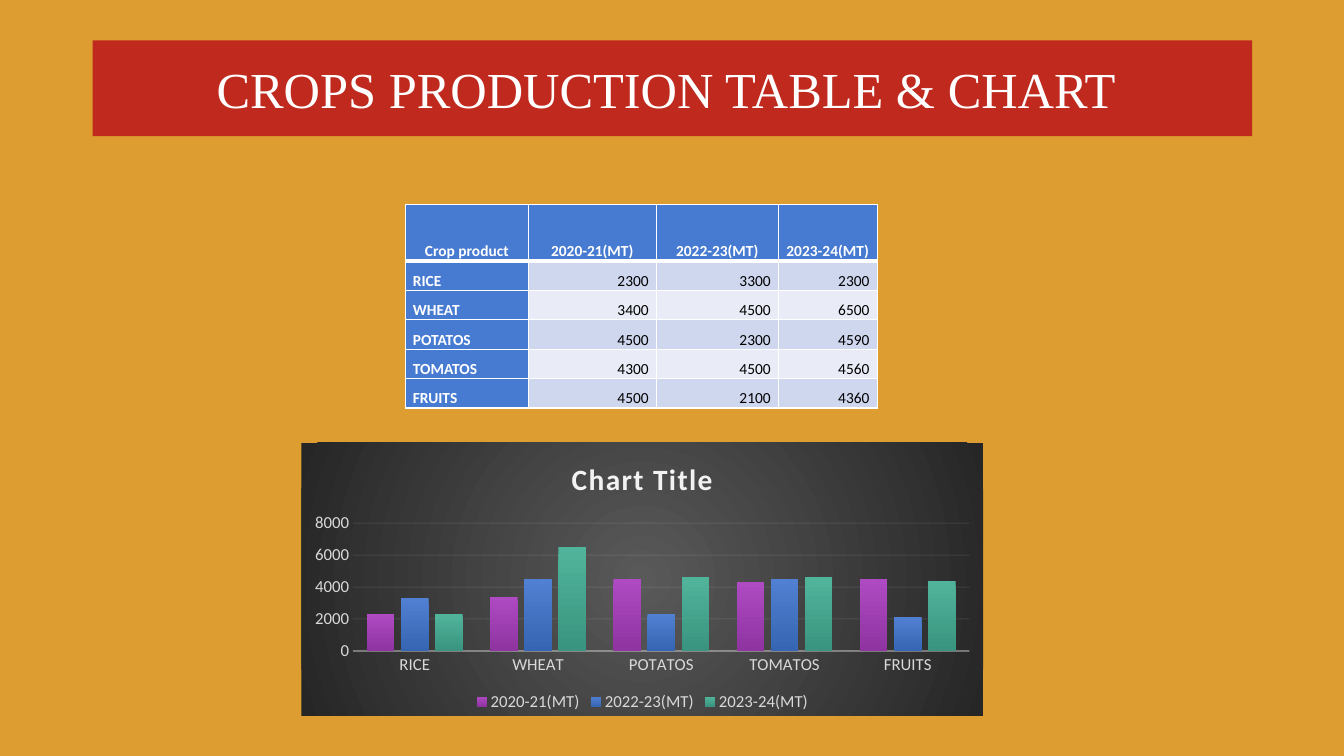
import lxml.etree
import pptx
import pptx.chart.data
import pptx.dml.color
import pptx.enum.chart
import pptx.enum.shapes
import pptx.enum.text
import pptx.oxml
import pptx.oxml.ns
import pptx.util

Inches = pptx.util.Inches
Pt = pptx.util.Pt
qn = pptx.oxml.ns.qn
Align = pptx.enum.text.PP_ALIGN
Anchor = pptx.enum.text.MSO_ANCHOR

COLORS = {
    "background": "DD9D31", "banner": "C02A1E", "white": "FFFFFF", "black": "000000",
    "header": "477BD1", "band_dark": "CFD7EE", "band_light": "E9ECF7",
    "chart_center": "595959", "chart_edge": "262626",
    "chart_text": "D9D9D9", "chart_line": "F2F2F2",
}
SERIES_GRADIENTS = [("AE4AC2", "8F34A1"), ("5180D2", "3665B3"), ("50B49B", "3A947F")]
YEARS = ["2020-21(MT)", "2022-23(MT)", "2023-24(MT)"]
PRODUCTION = {
    "RICE": (2300, 3300, 2300),
    "WHEAT": (3400, 4500, 6500),
    "POTATOS": (4500, 2300, 4590),
    "TOMATOS": (4300, 4500, 4560),
    "FRUITS": (4500, 2100, 4360),
}
COLUMN_WIDTHS = [1.22, 1.27, 1.21, 0.98]
TABLE_HEIGHT, HEADER_HEIGHT = 2.02, 0.56
ROW_HEIGHT = (TABLE_HEIGHT - HEADER_HEIGHT) / len(PRODUCTION)
DOWNWARD = '<a:lin ang="5400000" scaled="0"/>'
RADIAL = ('<a:path path="circle"><a:fillToRect l="50000" t="50000" r="50000" b="50000"/>'
          '</a:path>')


def rgb(name):
    return pptx.dml.color.RGBColor.from_string(COLORS[name])


def gradient(start, end, direction):
    return pptx.oxml.parse_xml(
        f'<a:gradFill {pptx.oxml.ns.nsdecls("a")} rotWithShape="1"><a:gsLst>'
        f'<a:gs pos="0"><a:srgbClr val="{start}"/></a:gs>'
        f'<a:gs pos="100000"><a:srgbClr val="{end}"/></a:gs>'
        f'</a:gsLst>{direction}</a:gradFill>')


class CropSlide:
    """Hold the slide's style and add its banner, table and chart."""

    def __init__(self, presentation):
        self.body_font = "Calibri"
        self.title_font = "Times New Roman"
        self.slide = presentation.slides.add_slide(presentation.slide_layouts[6])
        self.slide.background.fill.solid()
        self.slide.background.fill.fore_color.rgb = rgb("background")

    def style_font(self, font, name, size, color, bold=False):
        font.name = name
        font.size = Pt(size)
        font.bold = bold
        font.color.rgb = rgb(color)

    def add_banner(self, text, left, top, width, height):
        shape = self.slide.shapes.add_shape(
            pptx.enum.shapes.MSO_SHAPE.RECTANGLE,
            Inches(left), Inches(top), Inches(width), Inches(height))
        shape.shadow.inherit = False
        shape.fill.solid()
        shape.fill.fore_color.rgb = rgb("banner")
        shape.line.fill.background()
        shape.text_frame.word_wrap = True
        shape.text_frame.margin_right = Inches(0.22)
        shape.text_frame.vertical_anchor = Anchor.MIDDLE
        paragraph = shape.text_frame.paragraphs[0]
        paragraph.alignment = Align.CENTER
        run = paragraph.add_run()
        run.text = text
        self.style_font(run.font, self.title_font, 36, "white")

    def add_borders(self, cell, top=1, bottom=1):
        properties = cell._tc.get_or_add_tcPr()
        for side, width in (("L", 1), ("R", 1), ("T", top), ("B", bottom)):
            line = lxml.etree.SubElement(properties, qn(f"a:ln{side}"), w=str(Pt(width)))
            fill = lxml.etree.SubElement(line, qn("a:solidFill"))
            lxml.etree.SubElement(fill, qn("a:srgbClr"), val=COLORS["white"])

    def fill_cell(self, cell, text, alignment, fill, heading):
        cell.fill.solid()
        cell.fill.fore_color.rgb = rgb(fill)
        cell.margin_left = cell.margin_right = Pt(5.4)
        cell.margin_top = cell.margin_bottom = 0
        cell.vertical_anchor = Anchor.BOTTOM
        paragraph = cell.text_frame.paragraphs[0]
        paragraph.alignment = alignment
        paragraph.line_spacing = 1.07
        run = paragraph.add_run()
        run.text = text
        self.style_font(run.font, self.body_font, 11, "white" if heading else "black", heading)

    def add_table(self, left, top):
        rows = [["Crop product", *YEARS]]
        rows += [[crop, *values] for crop, values in PRODUCTION.items()]
        heights = [HEADER_HEIGHT] + [ROW_HEIGHT] * len(PRODUCTION)
        table = self.slide.shapes.add_table(
            len(rows), len(COLUMN_WIDTHS), Inches(left), Inches(top),
            Inches(sum(COLUMN_WIDTHS)), Inches(TABLE_HEIGHT)).table
        table.horz_banding = False
        table.first_row = False
        for column, width in zip(table.columns, COLUMN_WIDTHS):
            column.width = Inches(width)
        for row_index, values in enumerate(rows):
            table.rows[row_index].height = Inches(heights[row_index])
            band = "band_dark" if row_index % 2 else "band_light"
            for column_index, value in enumerate(values):
                cell = table.cell(row_index, column_index)
                heading = row_index == 0 or column_index == 0
                if row_index == 0:
                    alignment = Align.CENTER
                else:
                    alignment = Align.RIGHT if column_index else Align.LEFT
                self.add_borders(cell, top=3 if row_index == 1 else 1,
                                 bottom=3 if row_index == 0 else 1)
                self.fill_cell(cell, str(value), alignment,
                               "header" if heading else band, heading)

    def style_chart_line(self, line, width, opacity):
        line.width = Pt(width)
        line.color.rgb = rgb("chart_line")
        for color in line._ln.iter(qn("a:srgbClr")):
            lxml.etree.SubElement(color, qn("a:alpha"), val=str(opacity * 1000))

    def add_chart(self, title, left, top, width, height):
        data = pptx.chart.data.CategoryChartData()
        data.categories = list(PRODUCTION)
        for year, values in zip(YEARS, zip(*PRODUCTION.values())):
            data.add_series(year, [round(value, -2) for value in values])
        chart = self.slide.shapes.add_chart(
            pptx.enum.chart.XL_CHART_TYPE.COLUMN_CLUSTERED,
            Inches(left), Inches(top), Inches(width), Inches(height), data).chart
        self.style_font(chart.font, self.body_font, 10, "white")

        background = pptx.oxml.parse_xml(f'<c:spPr {pptx.oxml.ns.nsdecls("c", "a")}/>')
        background.append(gradient(COLORS["chart_center"], COLORS["chart_edge"], RADIAL))
        outline = lxml.etree.SubElement(background, qn("a:ln"))
        lxml.etree.SubElement(outline, qn("a:noFill"))
        chart._chartSpace.find(qn("c:chart")).addnext(background)

        chart.has_title = True
        run = chart.chart_title.text_frame.paragraphs[0].add_run()
        run.text = title
        self.style_font(run.font, self.body_font, 21, "chart_line", True)
        run.font._element.set("spc", "100")
        chart.chart_title.include_in_layout = False

        chart.has_legend = True
        chart.legend.position = pptx.enum.chart.XL_LEGEND_POSITION.BOTTOM
        chart.legend.include_in_layout = False
        self.style_font(chart.legend.font, self.body_font, 12, "chart_text")

        for axis in (chart.category_axis, chart.value_axis):
            axis.major_tick_mark = pptx.enum.chart.XL_TICK_MARK.NONE
            axis.minor_tick_mark = pptx.enum.chart.XL_TICK_MARK.NONE
            self.style_font(axis.tick_labels.font, self.body_font, 12, "chart_text")
        self.style_chart_line(chart.category_axis.format.line, 1, 54)
        chart.value_axis.format.line.fill.background()
        chart.value_axis.minimum_scale = 0
        chart.value_axis.maximum_scale = 8000
        chart.value_axis.major_unit = 2000
        self.style_chart_line(chart.value_axis.major_gridlines.format.line, 0.75, 10)

        plot = chart.plots[0]
        plot.vary_by_categories = False
        plot.gap_width = 100
        plot.overlap = -24
        for series, (start, end) in zip(plot.series, SERIES_GRADIENTS):
            series.invert_if_negative = False
            properties = series._element.get_or_add_spPr()
            properties.append(gradient(start, end, DOWNWARD))


def main():
    presentation = pptx.Presentation()
    presentation.slide_width = Inches(13.33)
    presentation.slide_height = Inches(7.5)
    crop_slide = CropSlide(presentation)
    crop_slide.add_banner("CROPS PRODUCTION TABLE & CHART", 0.92, 0.4, 11.5, 0.95)
    crop_slide.add_table(4.02, 2.03)
    crop_slide.add_chart("Chart Title", 2.99, 4.39, 6.76, 2.71)
    presentation.save("out.pptx")


if __name__ == "__main__":
    main()
